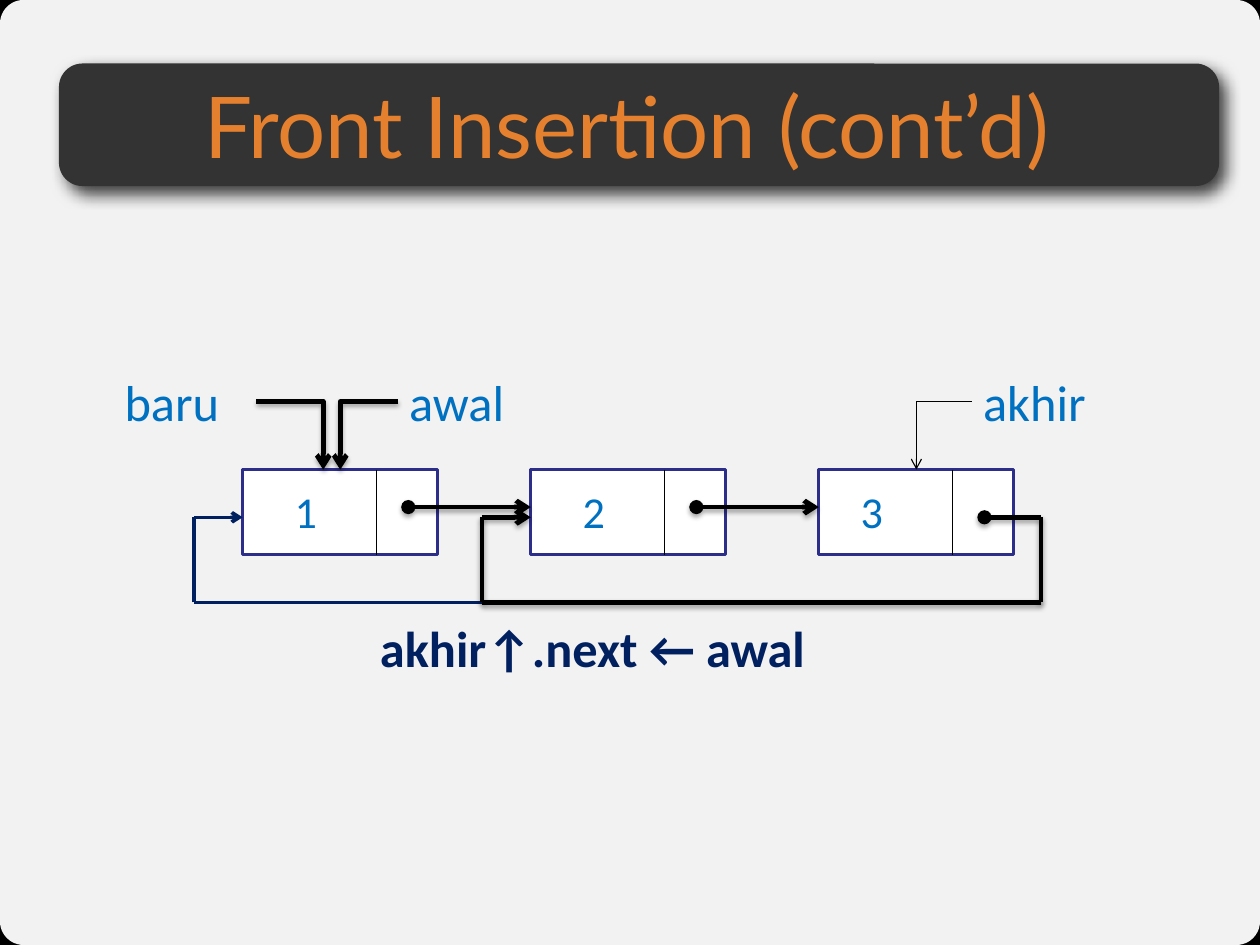
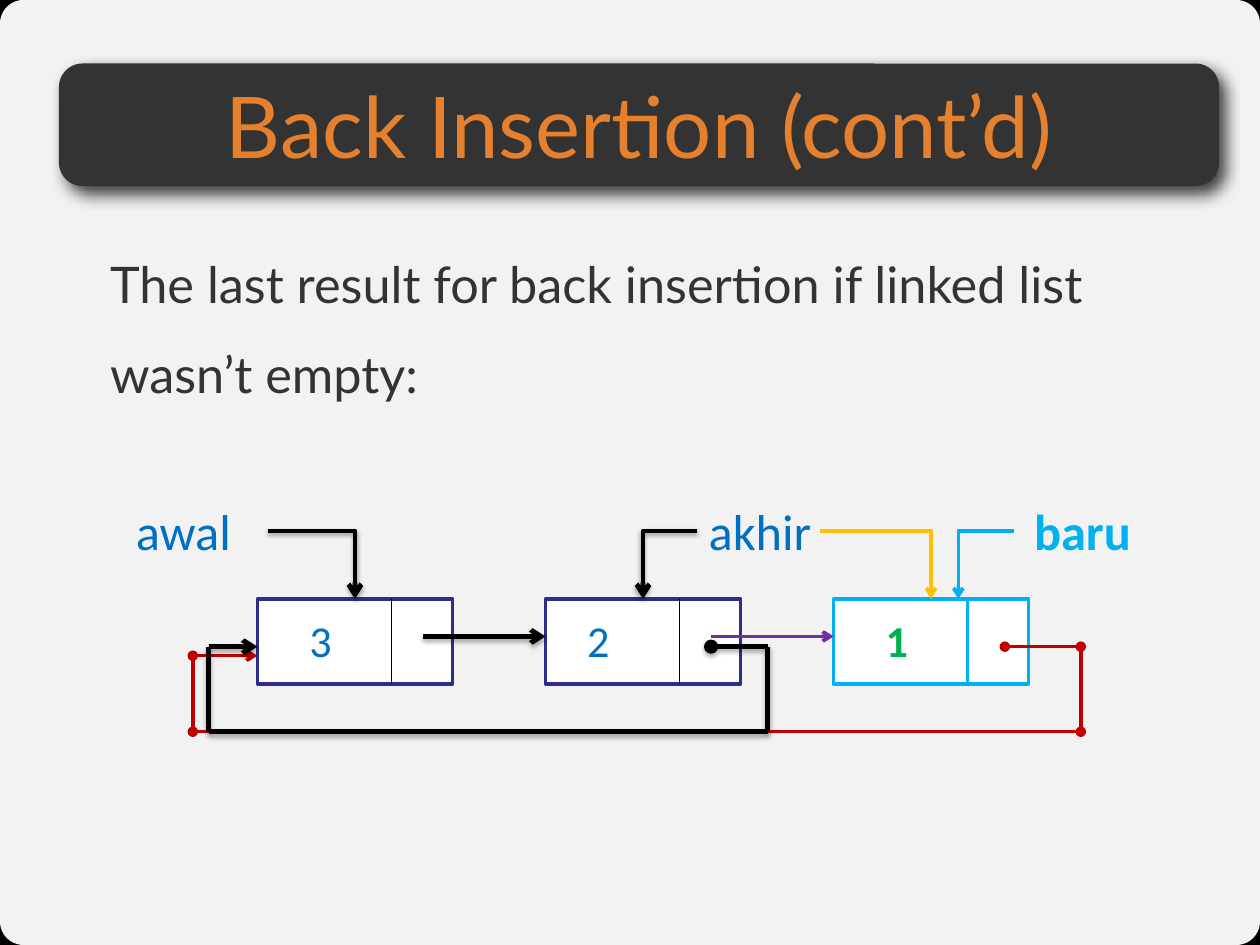
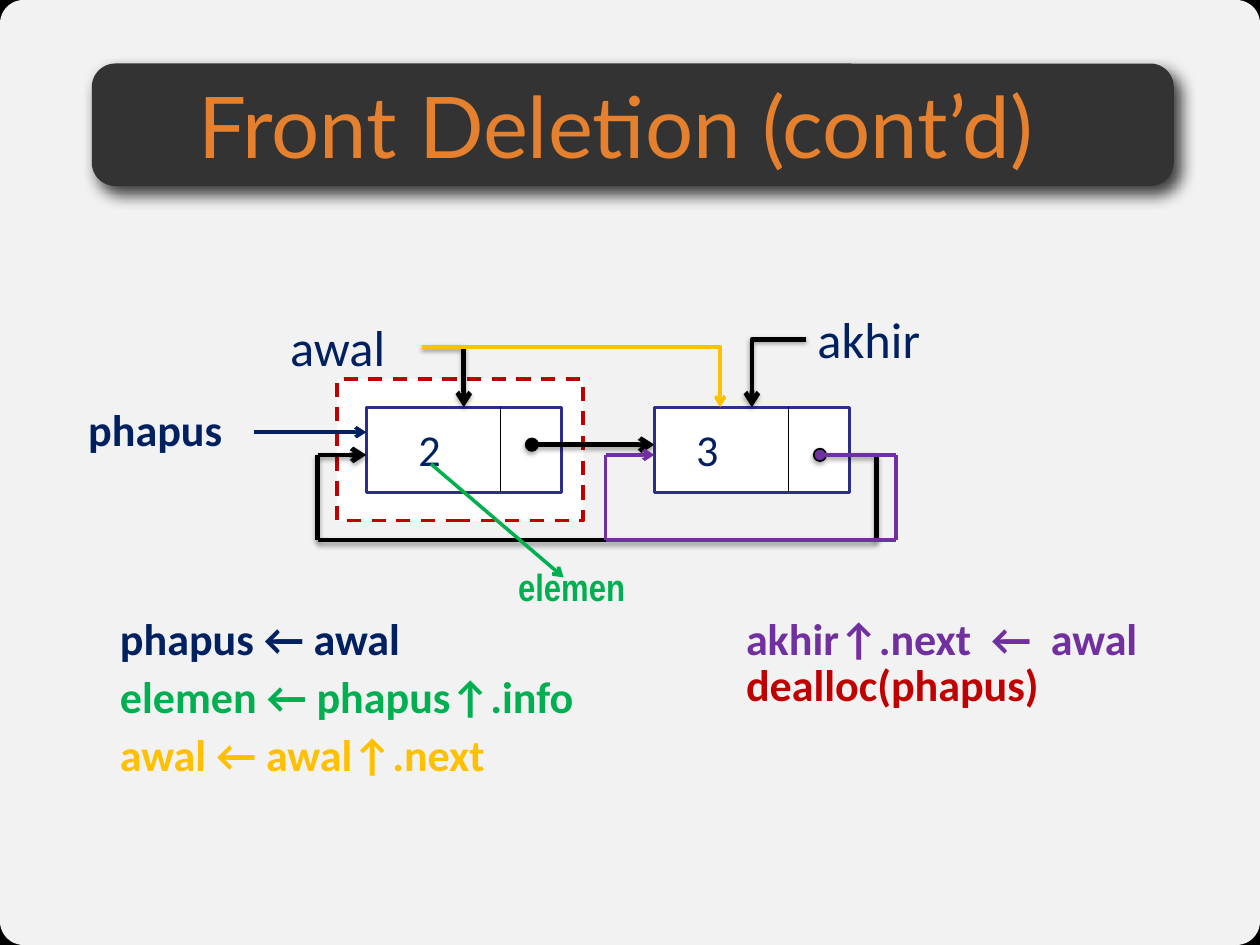
from itertools import pairwise

from lxml import etree
from pptx import Presentation
from pptx.dml.color import RGBColor
from pptx.enum.dml import MSO_LINE
from pptx.enum.shapes import MSO_CONNECTOR as Connector, MSO_SHAPE as Shape
from pptx.enum.text import MSO_ANCHOR, MSO_AUTO_SIZE, PP_ALIGN
from pptx.oxml.ns import qn
from pptx.util import Emu, Pt

PX = 9144  # 100 px to the inch
WIDTH, HEIGHT = 1111, 833
NODE_WIDTH, NODE_HEIGHT, NODE_PITCH = 172, 75, 254
DIVIDER = 118         # from a node's left edge to its divider
LINK_START = 146      # from a node's left edge to its link dot
NAME_WIDTH = 126
NEAR, FAR = 27, 36    # offsets of a number inside its node

BLACK, WHITE, CHARCOAL, ORANGE, INDIGO, NAVY, BLUE, SKY, GREEN, RED, GOLD, PURPLE = map(
    RGBColor.from_string,
    "000000 FFFFFF 333333 E5812E 2D2D8A 002060 0070C0 00B0F0 00B050 C00000 FFC000 7030A0".split())

# Shadows: opacity %, blur pt, distance pt, direction in degrees
BAND_SHADOW = (75, 10, 6, 51)
LINE_SHADOW = (35, 3.1, 1.8, 90)

# Line styles: colour, width in points, shadow
THICK = (BLACK, 3, LINE_SHADOW)
THIN = (BLACK, 0.75, None)
NAVY_LINE, SKY_LINE, GREEN_LINE, RED_LINE, GOLD_LINE, PURPLE_LINE = (
    (color, 2.25, None) for color in (NAVY, SKY, GREEN, RED, GOLD, PURPLE))
NODE = ((INDIGO, 2, None), THIN)
NEW_NODE = (SKY_LINE, SKY_LINE)

# Path markers: at the start, at the corners, at the end
ARROW = (None, None, "arrow")
DOT_ARROW = ("oval", None, "arrow")
ALL_DOTS = ("oval", "oval", "arrow")


def font(color, size=28, bold=True, name="Calibri"):
    return dict(name=name, size=Pt(size), bold=bold), color


def name_font(color, bold=False):
    return font(color, 32, bold)


def number_font(color):
    return font(color, bold=False)


TITLE_FONT = font(ORANGE, 54, False, "Lato")

# Nodes: number, its offset, font, style
# Names: text -> left, font, rise above the node row
# Pointers: name, node, style, then landing point and gap where special
# Links: from node, to node, style, markers, then loop measures where special
SLIDES = [
    dict(
        title="Front Insertion (cont’d)", title_at=(52, 1001), band=(52, 1023),
        body=dict(text="akhir↑.next ← awal", at=(325, 539, 442, 75), font=name_font(NAVY, True),
                  inset=(10, 5), before=7, spacing=1.0),
        row=(214, 414),
        nodes=[("1", FAR, number_font(BLUE), NODE), ("2", FAR, number_font(BLUE), NODE),
               ("3", NEAR, number_font(BLUE), NODE)],
        names=dict(baru=(100, name_font(BLUE), 60), awal=(351, name_font(BLUE), 60),
                   akhir=(857, name_font(BLUE), 60)),
        pointers=[("akhir", 2, THIN), ("baru", 0, THICK, dict(landing=71)),
                  ("awal", 0, THICK)],
        links=[(0, 1, THICK, DOT_ARROW), (1, 2, THICK, DOT_ARROW),
               (2, 0, NAVY_LINE, DOT_ARROW), (2, 1, THICK, DOT_ARROW)],
    ),
    dict(
        title="Back Insertion (cont’d)", title_at=(52, 1023), band=(52, 1023),
        body=dict(text="The last result for back insertion if linked list wasn’t empty:",
                  at=(97, 196, 956, 559), font=font(CHARCOAL, 32, False, "Lato"),
                  inset=(0, 0), before=0, spacing=1.5),
        row=(227, 528),
        nodes=[("3", FAR, number_font(BLUE), NODE), ("2", NEAR, number_font(BLUE), NODE),
               ("1", FAR, font(GREEN), NEW_NODE)],
        names=dict(akhir=(615, name_font(BLUE), 60), awal=(110, name_font(BLUE), 60),
                   baru=(902, name_font(SKY, True), 60)),
        pointers=[("akhir", 2, GOLD_LINE, dict(gap=-18)), ("akhir", 1, THICK),
                  ("awal", 0, THICK), ("baru", 2, SKY_LINE, dict(landing=110, gap=8))],
        links=[(0, 1, THICK, ARROW),
               (2, 0, RED_LINE, ALL_DOTS, dict(start=151, reach=67, lead=57, dip=8)),
               (1, 0, THICK, DOT_ARROW), (1, 2, PURPLE_LINE, ARROW)],
    ),
    dict(
        title="Front Deletion (cont’d)", title_at=(68, 950), band=(81, 954),
        row=(323, 359),
        deleted_node=0,
        nodes=[("2", FAR, number_font(NAVY), NODE), ("3", NEAR, number_font(NAVY), NODE)],
        names=dict(akhir=(711, name_font(NAVY), 60), awal=(246, name_font(NAVY), 53)),
        pointers=[("akhir", 1, THICK), ("awal", 0, THICK),
                  ("awal", 1, GOLD_LINE, dict(landing=58))],
        links=[(0, 1, THICK, DOT_ARROW), (1, 0, THICK, DOT_ARROW),
               (1, 1, PURPLE_LINE, DOT_ARROW, dict(reach=67))],
        arrows=[((224, 381), (323, 381), NAVY_LINE), ((380, 409), (497, 509), GREEN_LINE)],
        # Columns of text: left, top, step, lines
        columns=[
            (68, 350, 0, [("phapus", font(NAVY))]),
            (447, 492, 0, [("elemen", font(GREEN, 24, name="Arial Narrow"))]),
            (96, 534, 51, [("phapus ← awal", font(NAVY)),
                           ("elemen ← phapus↑.info", font(GREEN)),
                           ("awal ← awal↑.next", font(GOLD))]),
            (648, 534, 41, [("akhir↑.next  ←  awal", font(PURPLE)),
                            ("dealloc(phapus)", font(RED))]),
        ],
    ),
]


def px(*lengths):
    return [Emu(length * PX) for length in lengths]


def add_effects(shape, shadow):
    """Give the shape its shadow, or an empty effect list that stops the theme's."""
    effects = etree.SubElement(shape.element.spPr, qn("a:effectLst"))
    if shadow:
        opacity, blur, distance, direction = shadow
        outer = etree.SubElement(effects, qn("a:outerShdw"), blurRad=str(Pt(blur)),
                                 dist=str(Pt(distance)), dir=str(direction * 60000),
                                 algn="ctr", rotWithShape="0")
        color = etree.SubElement(outer, qn("a:srgbClr"), val=str(BLACK))
        etree.SubElement(color, qn("a:alpha"), val=str(opacity * 1000))


def add_box(slide, kind, at, fill, line=None, shadow=None, radius=None, dash=None):
    shape = slide.shapes.add_shape(kind, *px(*at))
    if radius:
        shape.adjustments[0] = radius
    shape.fill.solid()
    shape.fill.fore_color.rgb = fill
    if line:
        shape.line.color.rgb, shape.line.width = line[0], Pt(line[1])
        if dash:
            shape.line.dash_style = dash
    else:
        shape.line.fill.background()
    add_effects(shape, shadow)
    return shape


def add_line(slide, start, end, style, head=None, tail=None, kind=Connector.STRAIGHT):
    color, width, shadow = style
    connector = slide.shapes.add_connector(kind, *px(*start, *end))
    connector.line.color.rgb, connector.line.width = color, Pt(width)
    outline = connector.element.spPr.find(qn("a:ln"))
    for tag, marker in (("a:headEnd", head), ("a:tailEnd", tail)):
        if marker:
            etree.SubElement(outline, qn(tag), type=marker)
    add_effects(connector, shadow)
    return connector


def add_elbow(slide, start, end, style):
    """Draw an arrow that runs sideways, then down."""
    connector = add_line(slide, start, end, style, tail="arrow", kind=Connector.ELBOW)
    properties = connector.element.spPr
    properties.find(qn("a:prstGeom")).set("prst", "bentConnector2")
    if end[0] < start[0]:
        transform = properties.find(qn("a:xfrm"))
        del transform.attrib["flipH"]
        transform.set("rot", "10800000")
        transform.set("flipV", "1")


def add_path(slide, points, style, markers):
    first, corner, last = markers
    segments = list(pairwise(points))
    for index, (start, end) in enumerate(segments):
        add_line(slide, start, end, style, head=corner if index else first,
                 tail=last if index == len(segments) - 1 else None)


def write(shape, text, text_font, inset=(10, 5), fit=MSO_AUTO_SIZE.NONE,
          anchor=MSO_ANCHOR.TOP, **paragraph_format):
    frame = shape.text_frame
    side, edge = px(*inset)
    frame_format = dict(word_wrap=True, auto_size=fit, vertical_anchor=anchor,
                        margin_left=side, margin_right=side, margin_top=edge, margin_bottom=edge)
    paragraph = frame.paragraphs[0]
    run = paragraph.add_run()
    run.text = text
    run_format, color = text_font
    for target, values in ((frame, frame_format), (paragraph, paragraph_format),
                           (run.font, run_format)):
        for name, value in values.items():
            setattr(target, name, value)
    run.font.color.rgb = color


def add_label(slide, text, left, top, width, text_font):
    height = round(text_font[0]["size"].pt * 2)
    box = slide.shapes.add_textbox(*px(left, top, width, height))
    write(box, text, text_font, fit=MSO_AUTO_SIZE.SHAPE_TO_FIT_TEXT)


def place(shape, at):
    """Move a placeholder and bring it to the front."""
    shape.left, shape.top, shape.width, shape.height = px(*at)
    shape.element.getparent().append(shape.element)


def add_frame(slide, content):
    """Add the pale panel, the dark band and the title."""
    panel = add_box(slide, Shape.ROUNDED_RECTANGLE, (0, 0, WIDTH, HEIGHT), WHITE, radius=0.025)
    color = panel.element.spPr.find(qn("a:solidFill")).find(qn("a:srgbClr"))
    etree.SubElement(color, qn("a:alpha"), val="95000")
    left, width = content["band"]
    add_box(slide, Shape.ROUNDED_RECTANGLE, (left, 56, width, 108), CHARCOAL,
            shadow=BAND_SHADOW, radius=0.192)
    title = slide.shapes.title
    left, width = content["title_at"]
    place(title, (left, 60, width, 100))
    write(title, content["title"], TITLE_FONT, inset=(0, 0), anchor=MSO_ANCHOR.MIDDLE,
          alignment=PP_ALIGN.CENTER)


def add_body(slide, body):
    shape = slide.placeholders[1]
    place(shape, body["at"])
    write(shape, body["text"], body["font"], inset=body["inset"],
          space_before=Pt(body["before"]), line_spacing=body["spacing"])
    properties = shape.text_frame.paragraphs[0]._p.get_or_add_pPr()
    properties.set("marL", "0")
    properties.set("indent", "0")
    etree.SubElement(properties, qn("a:buNone"))


def add_node(slide, left, top, number, offset, text_font, style):
    border, divider = style
    add_box(slide, Shape.RECTANGLE, (left, top, NODE_WIDTH, NODE_HEIGHT), WHITE, border)
    x = left + DIVIDER
    add_line(slide, (x, top), (x, top + NODE_HEIGHT), divider)
    add_label(slide, number, left + offset, top + 8, 63, text_font)


def add_pointer(slide, name, node_left, top, style, landing=86, gap=0):
    """Lead from the near side of a name down to a node."""
    left, _, rise = name
    x = node_left + landing
    start = left + NAME_WIDTH + gap if x > left else left - gap
    add_elbow(slide, (start, top - rise), (x, top), style)


def loop_points(source, target, top, start=LINK_START, reach=50, lead=43, dip=0):
    """Run from a node's link out, under the row and back into the target."""
    y, floor = top + 42, top + 117
    right, left = source + start + reach, target - lead
    return [(source + start, y), (right, y), (right, floor), (left, floor),
            (left, y + dip), (target, y + dip)]


def add_link(slide, source, target, top, style, markers, measures):
    if source < target:
        y = top + 33
        points = [(source + LINK_START, y), (target, y)]
    else:
        points = loop_points(source, target, top, **measures)
    add_path(slide, points, style, markers)


def add_list_slide(presentation, content):
    layout = presentation.slide_layouts[1 if "body" in content else 5]
    slide = presentation.slides.add_slide(layout)
    add_frame(slide, content)
    if "body" in content:
        add_body(slide, content["body"])

    first, top = content["row"]
    lefts = [first + index * NODE_PITCH for index in range(len(content["nodes"]))]
    if "deleted_node" in content:
        zone = (lefts[content["deleted_node"]] - 26, top - 25, NODE_WIDTH + 45, NODE_HEIGHT + 50)
        add_box(slide, Shape.RECTANGLE, zone, WHITE, RED_LINE, dash=MSO_LINE.DASH)
    for left, node in zip(lefts, content["nodes"]):
        add_node(slide, left, top, *node)

    names = content["names"]
    for text, (left, text_font, rise) in names.items():
        add_label(slide, text, left, top - rise - 32, NAME_WIDTH, text_font)
    for name, node, style, *special in content["pointers"]:
        add_pointer(slide, names[name], lefts[node], top, style, **(special[0] if special else {}))
    for source, target, style, markers, *special in content["links"]:
        add_link(slide, lefts[source], lefts[target], top, style, markers,
                 special[0] if special else {})

    for start, end, style in content.get("arrows", []):
        add_line(slide, start, end, style, tail="arrow")
    for left, column_top, step, lines in content.get("columns", []):
        for index, (text, text_font) in enumerate(lines):
            add_label(slide, text, left, column_top + index * step, 420, text_font)


def main():
    presentation = Presentation()
    presentation.slide_width, presentation.slide_height = px(WIDTH, HEIGHT)
    background = presentation.slide_master.background.fill
    background.solid()
    background.fore_color.rgb = BLACK
    for content in SLIDES:
        add_list_slide(presentation, content)
    presentation.save("out.pptx")


if __name__ == "__main__":
    main()
